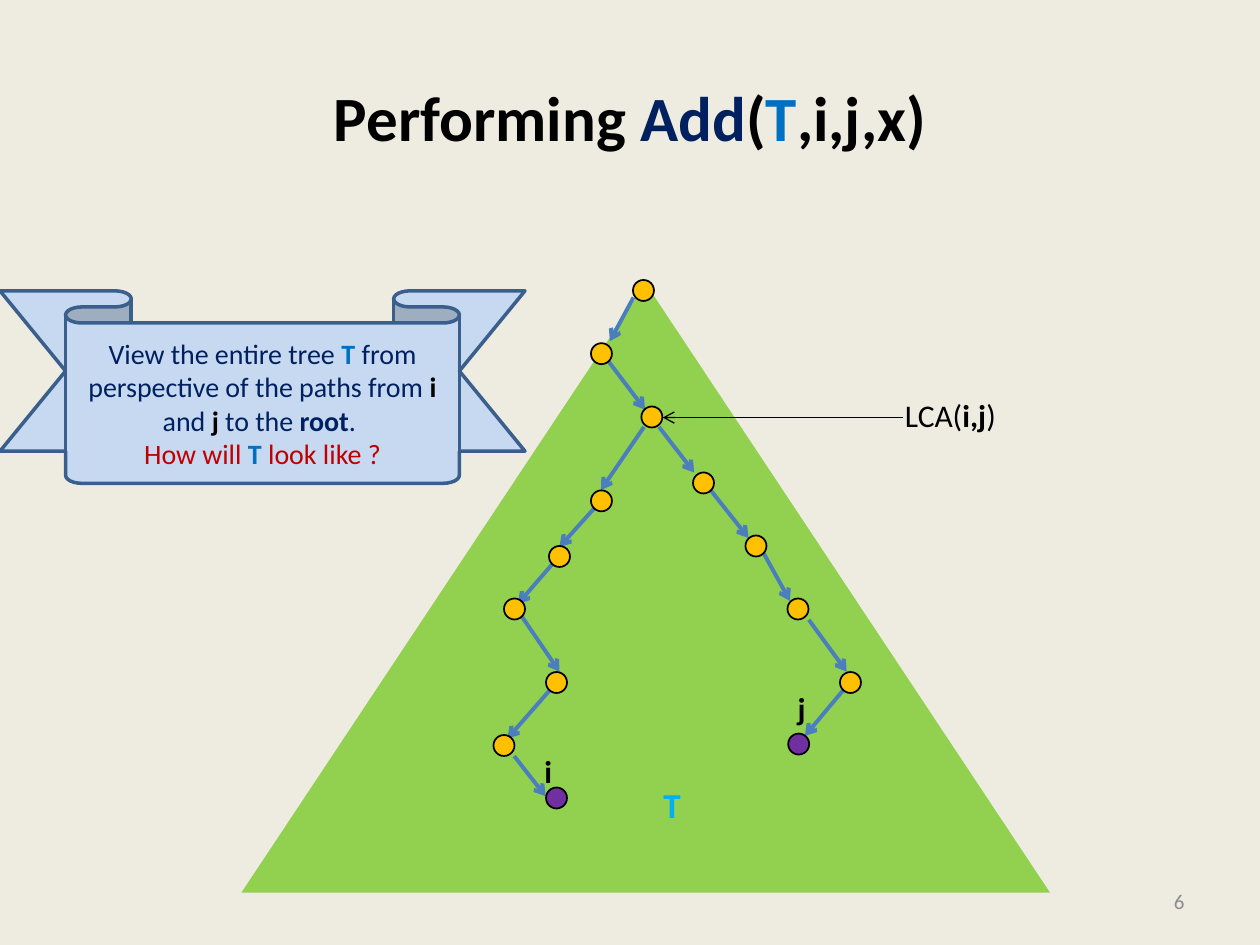
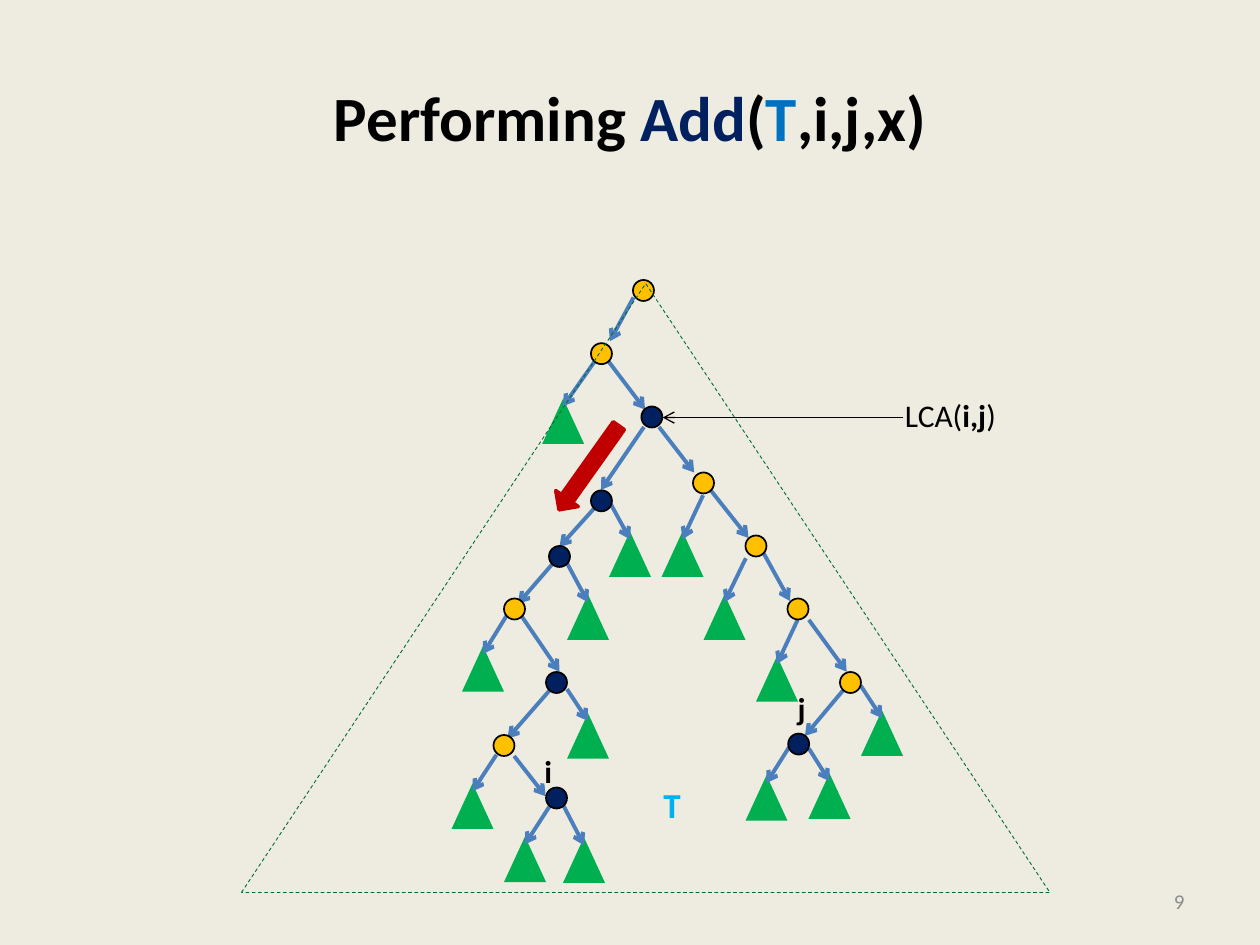
import pptx
import pptx.dml.color
import pptx.enum.dml
import pptx.enum.shapes
import pptx.enum.text
import pptx.oxml
import pptx.util
from lxml import etree

Pt = pptx.util.Pt
RGBColor = pptx.dml.color.RGBColor
SHAPE = pptx.enum.shapes.MSO_SHAPE
ALIGN = pptx.enum.text.PP_ALIGN
ANCHOR = pptx.enum.text.MSO_ANCHOR

BEIGE = RGBColor(0xEE, 0xEC, 0xE1)
BLACK = RGBColor(0, 0, 0)
NAVY = RGBColor(0x00, 0x20, 0x60)
BLUE = RGBColor(0x00, 0x70, 0xC0)
SKY = RGBColor(0x00, 0xB0, 0xF0)
EDGE_BLUE = RGBColor(0x4B, 0x7E, 0xBC)
RIBBON_FILL = RGBColor(0xC6, 0xD9, 0xF1)
RIBBON_LINE = RGBColor(0x3A, 0x5F, 0x8C)
GOLD = RGBColor(0xFF, 0xC0, 0x00)
PURPLE = RGBColor(0x70, 0x30, 0xA0)
LIME = RGBColor(0x92, 0xD0, 0x50)
GREEN = RGBColor(0x00, 0xB0, 0x50)
DARK_GREEN = RGBColor(0x00, 0x6C, 0x31)
RED = RGBColor(0xC0, 0x00, 0x00)
GREY = RGBColor(0x8C, 0x8C, 0x8C)

NODE_SIZE = 12
TREE_BOX = (138, 162, 462, 348)

# Node centres, from the root down to i and then down to j.
NODES = {
    "root": (367.7, 166), "child": (343.7, 202.1), "lca": (372.5, 238.3),
    "left1": (343.7, 286.2), "left2": (319.7, 318), "left3": (294, 348),
    "left4": (318, 390), "left5": (288, 426), "i": (318, 456),
    "right1": (402, 276), "right2": (432, 312), "right3": (456, 348),
    "right4": (486, 390), "j": (456.4, 425.2),
}
UPDATED_NODES = ("lca", "left1", "left2", "left4", "i", "j")

# Start x, start y, end x, end y.
PATH_EDGES = [
    (362, 170, 348.5, 195), (347.8, 206.6, 368.6, 234),
    (368, 244, 343.4, 280), (340, 290, 319.7, 312.5),
    (315.4, 322.6, 296, 345), (298, 352, 319.7, 383.8),
    (314, 394.6, 290, 422), (293.8, 432, 311.8, 455),
    (376.6, 244, 396.7, 270), (406, 280, 427.7, 307.4),
    (436.3, 316, 451.4, 343.4), (462.2, 354.2, 483.8, 383.8),
    (481.7, 394.6, 460, 420.5),
]
SUBTREE_EDGES = [
    (339.8, 206.6, 321.8, 232.2), (401.8, 283, 390, 308.2),
    (426.2, 319, 414, 344.2), (455.8, 354.2, 444, 379.4),
    (289.4, 352, 276, 373.7), (347.8, 285.8, 360, 308.2),
    (324, 321.8, 336, 344.2), (324, 393.8, 336, 412),
    (321.8, 460, 333.7, 483), (314, 460.8, 300, 482.5),
    (491.8, 391.7, 504, 410.4), (462.2, 427.7, 474, 446.4),
    (283.7, 431.3, 270, 452.2), (451.4, 426.2, 438, 447.5),
]
LCA_POINTER = (516.2, 238.6, 378.7, 238.6)

# Each run is text, colour, bold.
TITLE = [("Performing ", BLACK, True), ("Add", NAVY, True), ("(", BLACK, True),
         ("T", BLUE, True), (",i,j,x)", BLACK, True)]
LCA_LABEL = [("LCA(", BLACK, False), ("i,j", BLACK, True), (")", BLACK, False)]
RIBBON_TEXT = [
    [("View the entire tree ", NAVY, False), ("T", BLUE, True),
     (" from perspective of the paths from ", NAVY, False), ("i", BLACK, True),
     (" and ", NAVY, False), ("j ", BLACK, True), ("to the ", NAVY, False),
     ("root", NAVY, True), (". ", NAVY, False)],
    [("How will ", RED, False), ("T", BLUE, True), (" look like ?", RED, False)],
]


def add_shape(slide, kind, box, fill=None, line=None, line_width=1):
    """Add a shadowless preset shape; None leaves out the fill or the line."""
    shape = slide.shapes.add_shape(kind, *map(Pt, box))
    shape.shadow.inherit = False
    if fill is None:
        shape.fill.background()
    else:
        shape.fill.solid()
        shape.fill.fore_color.rgb = fill
    if line is None:
        shape.line.fill.background()
    else:
        shape.line.color.rgb = line
        shape.line.width = Pt(line_width)
    return shape


def write_text(text_frame, paragraphs, size, alignment, frame_format):
    for name, value in frame_format.items():
        setattr(text_frame, name, value)
    for index, runs in enumerate(paragraphs):
        paragraph = text_frame.add_paragraph() if index else text_frame.paragraphs[0]
        paragraph.alignment = alignment
        for text, colour, bold in runs:
            run = paragraph.add_run()
            run.text = text
            run.font.color.rgb = colour
            for name, value in {"name": "Calibri", "size": Pt(size), "bold": bold}.items():
                setattr(run.font, name, value)


MIDDLE = {"word_wrap": True, "vertical_anchor": ANCHOR.MIDDLE}
LABEL = {"word_wrap": False, "auto_size": pptx.enum.text.MSO_AUTO_SIZE.SHAPE_TO_FIT_TEXT}

presentation = pptx.Presentation()
presentation.slide_width = Pt(720)
presentation.slide_height = Pt(540)

for number, subtrees_shown in (("6", False), ("9", True)):
    slide = presentation.slides.add_slide(presentation.slide_layouts[6])
    slide.background.fill.solid()
    slide.background.fill.fore_color.rgb = BEIGE

    if not subtrees_shown:
        add_shape(slide, SHAPE.ISOSCELES_TRIANGLE, TREE_BOX, LIME)
        ribbon = add_shape(slide, SHAPE.DOWN_RIBBON, (0, 166.2, 300, 110),
                           RIBBON_FILL, RIBBON_LINE, 2)
        ribbon.adjustments[0] = 0.167
        ribbon.adjustments[1] = 0.75
        write_text(ribbon.text_frame, RIBBON_TEXT, 16, ALIGN.CENTER, MIDDLE)

    subtree_edges = SUBTREE_EDGES if subtrees_shown else []
    for start_x, start_y, tip_x, tip_y in subtree_edges:
        add_shape(slide, SHAPE.ISOSCELES_TRIANGLE, (tip_x - 12, tip_y - 4.5, 24, 26), GREEN)

    arrows = [(edge, EDGE_BLUE, 2.25) for edge in PATH_EDGES + subtree_edges]
    for ends, colour, width in arrows + [(LCA_POINTER, BLACK, 0.75)]:
        connector = slide.shapes.add_connector(
            pptx.enum.shapes.MSO_CONNECTOR.STRAIGHT, *map(Pt, ends))
        connector.line.color.rgb = colour
        connector.line.width = Pt(width)
        line_xml = connector.line._get_or_add_ln()
        etree.SubElement(line_xml, pptx.oxml.ns.qn("a:tailEnd"), type="arrow")
        etree.SubElement(connector._element.spPr, pptx.oxml.ns.qn("a:effectLst"))

    for name, (x, y) in NODES.items():
        if subtrees_shown and name in UPDATED_NODES:
            colour = NAVY
        else:
            colour = PURPLE if name in ("i", "j") else GOLD
        add_shape(slide, SHAPE.OVAL,
                  (x - NODE_SIZE / 2, y - NODE_SIZE / 2, NODE_SIZE, NODE_SIZE),
                  colour, BLACK)

    if subtrees_shown:
        outline = add_shape(slide, SHAPE.ISOSCELES_TRIANGLE, TREE_BOX, None, DARK_GREEN, 0.5)
        outline.line.dash_style = pptx.enum.dml.MSO_LINE.DASH
        direction = add_shape(slide, SHAPE.STRIPED_RIGHT_ARROW, (307, 259.4, 59, 15.8),
                              RED, RED, 2)
        direction.rotation = 125.4

    for box, runs, size, alignment, frame_format in (
        ((36, 21.6, 648, 90), TITLE, 36, ALIGN.CENTER, MIDDLE),
        ((516, 500.4, 168, 28.8), [(number, GREY, False)], 12, ALIGN.RIGHT, MIDDLE),
        ((300, 426.2, 23, 28.8), [(" i", BLACK, True)], 18, ALIGN.LEFT, LABEL),
        ((444.6, 390.2, 23, 28.8), [(" j", BLACK, True)], 18, ALIGN.LEFT, LABEL),
        ((372, 444.2, 24.5, 31.7), [("T", SKY, True)], 20, ALIGN.LEFT, LABEL),
        ((510, 222.9, 67, 28.8), LCA_LABEL, 18, ALIGN.LEFT, LABEL),
    ):
        text_box = slide.shapes.add_textbox(*map(Pt, box))
        write_text(text_box.text_frame, [runs], size, alignment, frame_format)

presentation.save("out.pptx")
